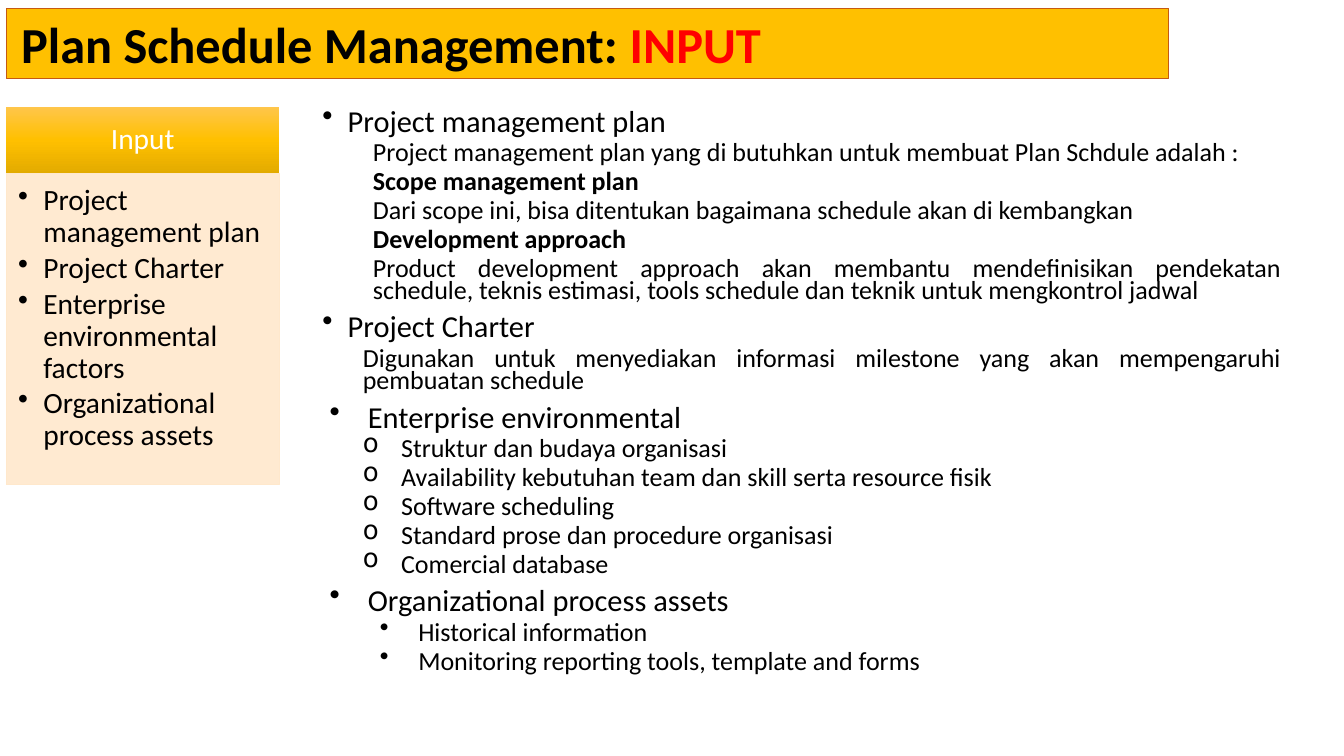
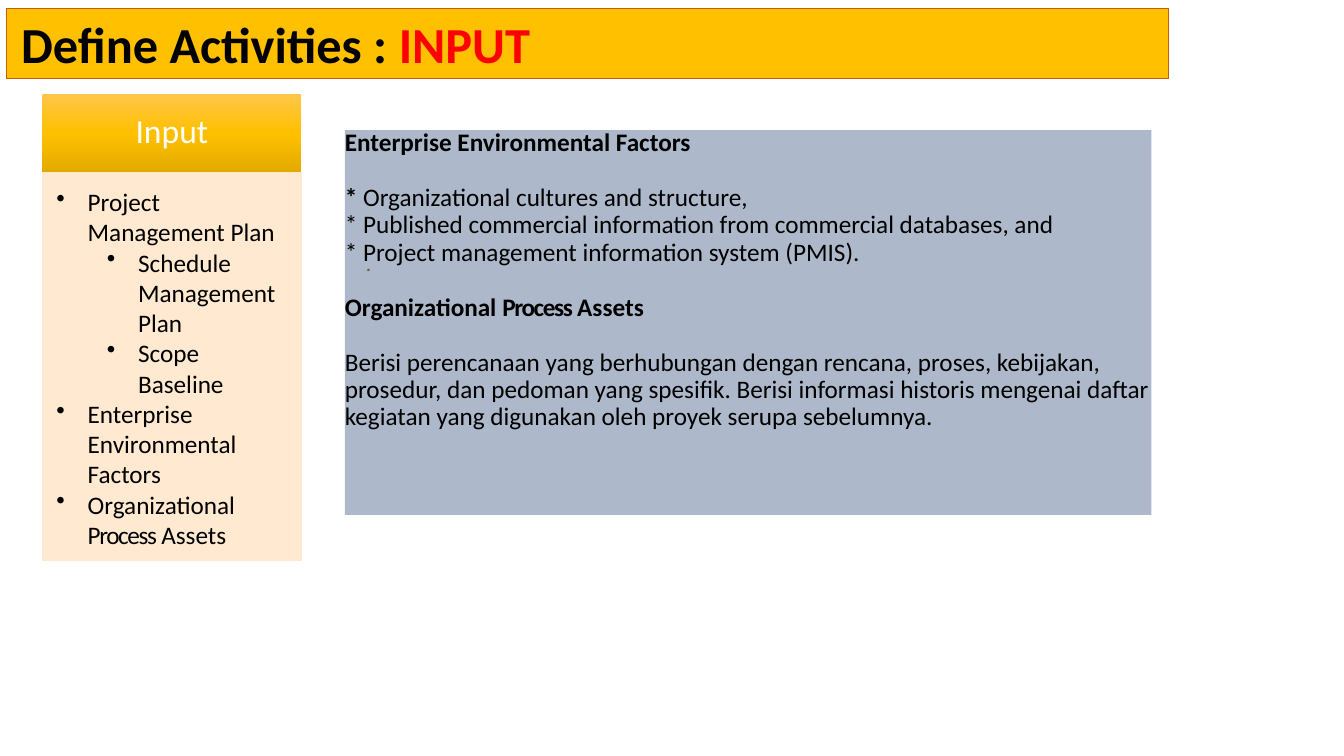
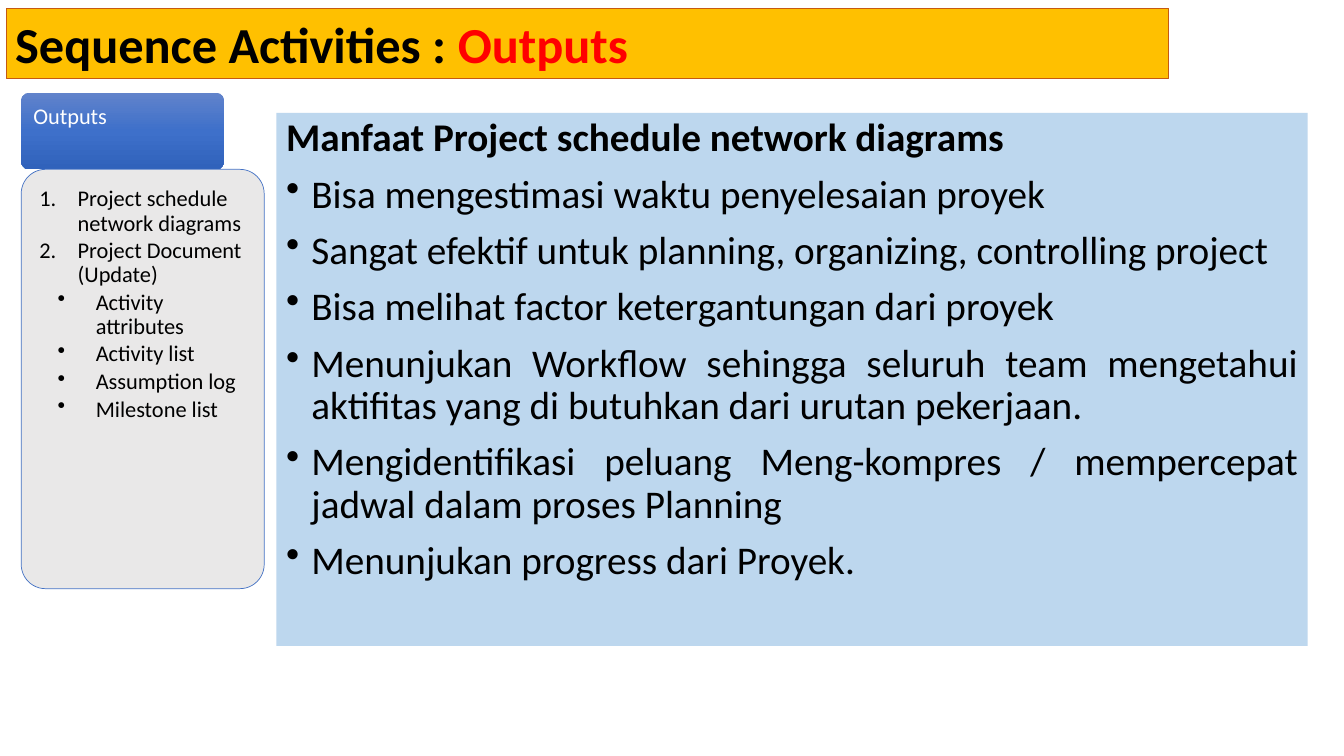
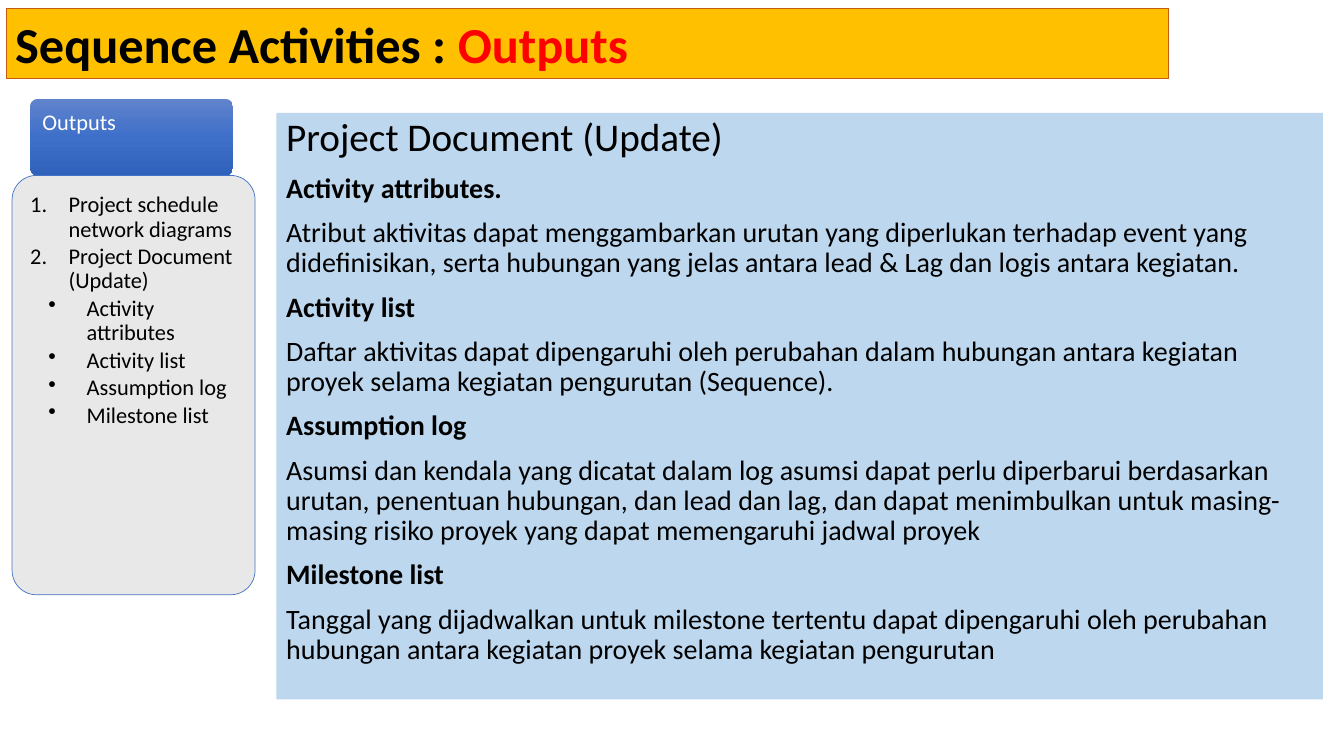
import dataclasses

import pptx
import pptx.dml.color
import pptx.enum.shapes
import pptx.enum.text
import pptx.oxml
import pptx.oxml.ns
import pptx.util

Align = pptx.enum.text.PP_ALIGN
Anchor = pptx.enum.text.MSO_ANCHOR
Preset = pptx.enum.shapes.MSO_SHAPE


@dataclasses.dataclass(frozen=True)
class Theme:
    font: str = "Calibri"
    ink: str = "000000"
    white: str = "FFFFFF"
    accent: str = "FF0000"
    band: str = "FFC000"
    band_edge: str = "C55A11"
    cream: str = "FFE8CC"
    grey: str = "E7E6E6"
    blue_edge: str = "4472C4"
    slate: str = "ADB9CA"
    sky: str = "BDD7EE"
    dot: str = "675E47"
    gold_fade: tuple = ("FFC64B", "FFC000", "E3AB00")
    blue_fade: tuple = ("6183CB", "3E70CA", "3062BB")
    title: float = 36
    lead: float = 28
    topic: float = 21.7
    detail: float = 18.6
    body: float = 20
    small: float = 18
    item: float = 16


THEME = Theme()
WIDTH, HEIGHT = 13.33, 7.5


@dataclasses.dataclass(frozen=True)
class Style:
    size: float
    indent: float = 0
    hang: float = 0
    mark: str = ""
    before: float = 0
    after: float = 0
    spacing: float = 0.9
    level: int = 0
    bold: bool = False
    color: str = THEME.ink
    align: object = Align.LEFT


TOPIC = Style(THEME.topic, 0.25, 0.25, "•", before=10, spacing=0.7, align=Align.JUSTIFY)
WIDE_TOPIC = dataclasses.replace(TOPIC, indent=0.45, hang=0.38)
DETAIL = Style(THEME.detail, 0.5, before=5, spacing=0.7, level=1, align=Align.JUSTIFY)
CIRCLE = dataclasses.replace(DETAIL, indent=0.78, hang=0.38, mark="o")
LEAD = Style(THEME.lead, before=10)
POINT = dataclasses.replace(LEAD, indent=0.25, hang=0.25, mark="•", align=Align.JUSTIFY)
TEXT = Style(THEME.body, before=10)
FACTOR = Style(THEME.small)
FACTOR_GAP = dataclasses.replace(FACTOR, before=19.8)
INPUT_ITEM = Style(21, 0.25, 0.25, "•", after=3)
ENTRY = Style(THEME.small, 0.31, 0.31, "•", spacing=1)
OUTPUT_ITEM = Style(THEME.item, 0.38, 0.38, "1.", after=2.4)

STYLES = {
    "topic": TOPIC,
    "wide topic": WIDE_TOPIC,
    "detail": DETAIL,
    "detail head": dataclasses.replace(DETAIL, bold=True),
    "near detail": dataclasses.replace(DETAIL, indent=0.4),
    "circle": CIRCLE,
    "dot detail": dataclasses.replace(CIRCLE, indent=0.95, mark="•"),
    "lead": LEAD,
    "lead head": dataclasses.replace(LEAD, bold=True),
    "point": POINT,
    "text": TEXT,
    "head": dataclasses.replace(TEXT, bold=True),
    "factor": FACTOR,
    "factor gap": FACTOR_GAP,
    "factor head": dataclasses.replace(FACTOR_GAP, bold=True),
    "input item": INPUT_ITEM,
    "entry": ENTRY,
    "subentry": dataclasses.replace(ENTRY, indent=0.81, level=1),
    "output item": OUTPUT_ITEM,
    "output detail": dataclasses.replace(OUTPUT_ITEM, indent=0.56, mark="•", level=1),
    "input label": Style(21, color=THEME.white, align=Align.CENTER),
    "large input label": Style(24, color=THEME.white, align=Align.CENTER),
    "output label": Style(THEME.item, color=THEME.white),
    "title": Style(THEME.title, bold=True, spacing=1),
    "speck": Style(15, color=THEME.dot, spacing=1, align=Align.JUSTIFY),
}

ASSETS = [("Organizational ", {}), ("Process ", {"tracking": -1}), ("Assets", {})]

OUTPUT_LIST = [
    ("output item", "Project schedule network diagrams"),
    ("output item", "Project Document (Update)"),
    ("output detail", "Activity attributes"),
    ("output detail", "Activity list"),
    ("output detail", "Assumption log"),
    ("output detail", "Milestone list"),
]

INPUT_LOOK = dict(
    preset=Preset.RECTANGLE, fade=THEME.gold_fade, fill=THEME.cream, edge=THEME.cream,
    label_anchor=Anchor.MIDDLE, label_insets=(0.16, 0.09, 0.16, 0.09),
)
OUTPUT_LOOK = dict(
    preset=Preset.ROUNDED_RECTANGLE, fade=THEME.blue_fade, fill=THEME.grey, edge=THEME.blue_edge,
    label_anchor=Anchor.TOP, label_insets=(0.1, 0.1, 0.1, 0.1), insets=(0.11, 0.11, 0.11, 0.11),
    label=("output label", "Outputs"), items=OUTPUT_LIST,
)

# Boxes are percentages of the slide: left, top, width, height.
BAND = (0.45, 1.07, 86.5, 9.33)

SLIDES = [
    dict(
        title=("Plan Schedule Management: ", "INPUT"),
        title_inset=0.15,
        sidebar=dict(
            INPUT_LOOK,
            label=("input label", "Input"),
            label_box=(0.45, 14.13, 20.33, 8.8),
            box=(0.45, 22.93, 20.33, 41.2),
            insets=(0.12, 0.12, 0.16, 0.18),
            items=[
                ("input item", "Project management plan"),
                ("input item", "Project Charter"),
                ("input item", "Enterprise environmental factors"),
                ("input item", "Organizational process assets"),
            ],
        ),
        panels=[dict(box=(23.26, 14.13, 72.84, 81.07), items=[
            ("topic", "Project management plan"),
            ("detail", "Project management plan yang di butuhkan untuk membuat Plan Schdule adalah :"),
            ("detail head", "Scope management plan"),
            ("detail", "Dari scope ini, bisa ditentukan bagaimana schedule akan di kembangkan"),
            ("detail head", "Development approach"),
            ("detail", "Product development approach akan membantu mendefinisikan pendekatan schedule, "
                       "teknis estimasi, tools schedule dan teknik untuk mengkontrol jadwal"),
            ("topic", "Project Charter"),
            ("near detail", "Digunakan untuk menyediakan informasi milestone yang akan mempengaruhi "
                            "pembuatan schedule"),
            ("wide topic", "Enterprise environmental"),
            ("circle", "Struktur dan budaya organisasi"),
            ("circle", "Availability kebutuhan team dan skill serta resource fisik"),
            ("circle", "Software scheduling"),
            ("circle", "Standard prose dan procedure organisasi"),
            ("circle", "Comercial database"),
            ("wide topic", "Organizational process assets"),
            ("dot detail", "Historical information"),
            ("dot detail", "Monitoring reporting tools, template and forms"),
        ])],
    ),
    dict(
        title=("Define Activities : ", "INPUT"),
        title_inset=0.15,
        sidebar=dict(
            INPUT_LOOK,
            label=("large input label", "Input"),
            label_box=(3.15, 12.4, 19.28, 10.4),
            box=(3.15, 22.8, 19.28, 51.33),
            insets=(0.14, 0.14, 0.19, 0.21),
            items=[
                ("entry", "Project Management Plan"),
                ("subentry", "Schedule Management Plan"),
                ("subentry", "Scope Baseline"),
                ("entry", "Enterprise Environmental Factors"),
                ("entry", ASSETS),
            ],
        ),
        panels=[
            dict(box=(25.66, 17.2, 60.02, 50.93), fill=THEME.slate, insets=(0, 0, 0, 0), items=[
                ("factor head", "Enterprise Environmental Factors"),
                ("factor gap", [("* ", {"bold": True}), ("Organizational cultures and structure,", {})]),
                ("factor", "* Published commercial information from commercial databases, and"),
                ("factor", "* Project management information system (PMIS)."),
                ("factor head", ASSETS),
                ("factor gap", "Berisi perencanaan yang berhubungan dengan rencana, proses, kebijakan, "
                               "prosedur, dan pedoman yang spesifik. Berisi informasi historis mengenai "
                               "daftar kegiatan yang digunakan oleh proyek serupa sebelumnya."),
            ]),
            dict(box=(27.23, 31.87, 53.94, 4.53), insets=(0, 0.09, 0, 0), items=[("speck", ".")]),
        ],
    ),
    dict(
        title=("Sequence Activities : ", "Outputs"),
        title_inset=0.09,
        sidebar=dict(
            OUTPUT_LOOK,
            label_box=(1.58, 12.27, 15.08, 10.13),
            box=(1.58, 22.4, 18.08, 55.47),
        ),
        panels=[dict(box=(20.56, 14.93, 76.74, 70.53), fill=THEME.sky, items=[
            ("lead head", "Manfaat Project schedule network diagrams"),
            ("point", "Bisa mengestimasi waktu penyelesaian proyek"),
            ("point", "Sangat efektif untuk planning, organizing, controlling project"),
            ("point", "Bisa melihat factor ketergantungan dari proyek"),
            ("point", "Menunjukan Workflow sehingga seluruh team mengetahui aktifitas yang di butuhkan "
                      "dari urutan pekerjaan."),
            ("point", "Mengidentifikasi peluang Meng-kompres / mempercepat jadwal dalam proses Planning"),
            ("point", "Menunjukan progress dari Proyek."),
        ])],
    ),
    dict(
        title=("Sequence Activities : ", "Outputs"),
        title_inset=0.09,
        sidebar=dict(
            OUTPUT_LOOK,
            label_box=(2.25, 13.07, 15.08, 10.13),
            box=(0.9, 23.2, 18.08, 55.47),
        ),
        panels=[dict(box=(20.56, 14.93, 77.87, 77.6), fill=THEME.sky, items=[
            ("lead", "Project Document (Update)"),
            ("head", "Activity attributes."),
            ("text", "Atribut aktivitas dapat menggambarkan urutan yang diperlukan terhadap event yang "
                     "didefinisikan, serta hubungan yang jelas antara lead & Lag dan logis antara kegiatan."),
            ("head", "Activity list"),
            ("text", "Daftar aktivitas dapat dipengaruhi oleh perubahan dalam hubungan antara kegiatan "
                     "proyek selama kegiatan pengurutan (Sequence)."),
            ("head", "Assumption log"),
            ("text", "Asumsi dan kendala yang dicatat dalam log asumsi dapat perlu diperbarui berdasarkan "
                     "urutan, penentuan hubungan, dan lead dan lag, dan dapat menimbulkan untuk "
                     "masing-masing risiko proyek yang dapat memengaruhi jadwal proyek"),
            ("head", "Milestone list"),
            ("text", "Tanggal yang dijadwalkan untuk milestone tertentu dapat dipengaruhi oleh perubahan "
                     "hubungan antara kegiatan proyek selama kegiatan pengurutan"),
        ])],
    ),
]


def rgb(code):
    return pptx.dml.color.RGBColor.from_string(code)


def place(box):
    return [pptx.util.Inches(share / 100 * side) for share, side in zip(box, (WIDTH, HEIGHT) * 2)]


def child(parent, tag, **attributes):
    element = pptx.oxml.ns.qn(tag)
    node = parent.makeelement(element, attributes)
    parent.append(node)
    return node


def fade_down(shape, colors):
    fade = shape._element.spPr.makeelement(pptx.oxml.ns.qn("a:gradFill"), {"rotWithShape": "1"})
    stops = child(fade, "a:gsLst")
    for index, color in enumerate(colors):
        stop = child(stops, "a:gs", pos=str(index * 50000))
        child(stop, "a:srgbClr", val=color)
    child(fade, "a:lin", ang="5400000", scaled="0")
    shape._element.spPr.find(pptx.oxml.ns.qn("a:prstGeom")).addnext(fade)


def fill_solid(shape, color, opacity=100):
    shape.fill.solid()
    shape.fill.fore_color.rgb = rgb(color)
    if opacity < 100:
        tint = shape._element.spPr.find(".//" + pptx.oxml.ns.qn("a:srgbClr"))
        child(tint, "a:alpha", val=str(opacity * 1000))


def outline(shape, color, width):
    shape.line.color.rgb = rgb(color)
    shape.line.width = pptx.util.Pt(width)


def set_paragraph(paragraph, style, first):
    properties = paragraph._p.get_or_add_pPr()
    properties.set("marL", str(pptx.util.Inches(style.indent)))
    properties.set("indent", str(-pptx.util.Inches(style.hang)))
    if style.mark == "1.":
        child(properties, "a:buAutoNum", type="arabicPeriod")
    elif style.mark:
        child(properties, "a:buChar", char=style.mark)
    else:
        child(properties, "a:buNone")
    paragraph.level = style.level
    paragraph.alignment = style.align
    paragraph.line_spacing = style.spacing
    paragraph.space_before = pptx.util.Pt(0 if first else style.before)
    paragraph.space_after = pptx.util.Pt(style.after)


def write(shape, items, insets=(0.1, 0.05, 0.1, 0.05), anchor=Anchor.TOP):
    frame = shape.text_frame
    frame.word_wrap = True
    frame.auto_size = pptx.enum.text.MSO_AUTO_SIZE.NONE
    frame.vertical_anchor = anchor
    frame.margin_left, frame.margin_top, frame.margin_right, frame.margin_bottom = map(
        pptx.util.Inches, insets)
    for index, (style_name, content) in enumerate(items):
        style = STYLES[style_name]
        paragraph = frame.add_paragraph() if index else frame.paragraphs[0]
        set_paragraph(paragraph, style, index == 0)
        for words, change in [(content, {})] if isinstance(content, str) else content:
            run = paragraph.add_run()
            run.text = words
            run.font.name = THEME.font
            run.font.size = pptx.util.Pt(style.size)
            run.font.bold = change.get("bold", style.bold)
            run.font.color.rgb = rgb(change.get("color", style.color))
            if "tracking" in change:
                run.font._element.set("spc", str(change["tracking"] * 100))


def add_title(slide, words, inset):
    band = slide.shapes.title
    band.left, band.top, band.width, band.height = place(BAND)
    fill_solid(band, THEME.band)
    outline(band, THEME.band_edge, 0.75)
    subject, kind = words
    runs = [(subject, {}), (kind, {"color": THEME.accent})]
    write(band, [("title", runs)], (inset, 0.05, 0.09, 0.05))


def add_sidebar(slide, sidebar):
    label, listing = [
        slide.shapes.add_shape(sidebar["preset"], *place(sidebar[key])) for key in ("label_box", "box")]
    for part in (label, listing):
        part.shadow.inherit = False
        if sidebar["preset"] == Preset.ROUNDED_RECTANGLE:
            part.adjustments[0] = 0.1
    fade_down(label, sidebar["fade"])
    label.line.fill.background()
    fill_solid(listing, sidebar["fill"], opacity=90)
    outline(listing, sidebar["edge"], 0.5)
    write(label, [sidebar["label"]], sidebar["label_insets"], sidebar["label_anchor"])
    write(listing, sidebar["items"], sidebar["insets"])


def add_panel(slide, panel):
    box = slide.shapes.add_textbox(*place(panel["box"]))
    if "fill" in panel:
        fill_solid(box, panel["fill"])
    write(box, panel["items"], panel.get("insets", (0.1, 0.05, 0.1, 0.05)))


def main():
    deck = pptx.Presentation()
    deck.slide_width = pptx.util.Inches(WIDTH)
    deck.slide_height = pptx.util.Inches(HEIGHT)
    for content in SLIDES:
        slide = deck.slides.add_slide(deck.slide_layouts[5])
        add_title(slide, content["title"], content["title_inset"])
        for panel in content["panels"]:
            add_panel(slide, panel)
        add_sidebar(slide, content["sidebar"])
    deck.save("out.pptx")


if __name__ == "__main__":
    main()
